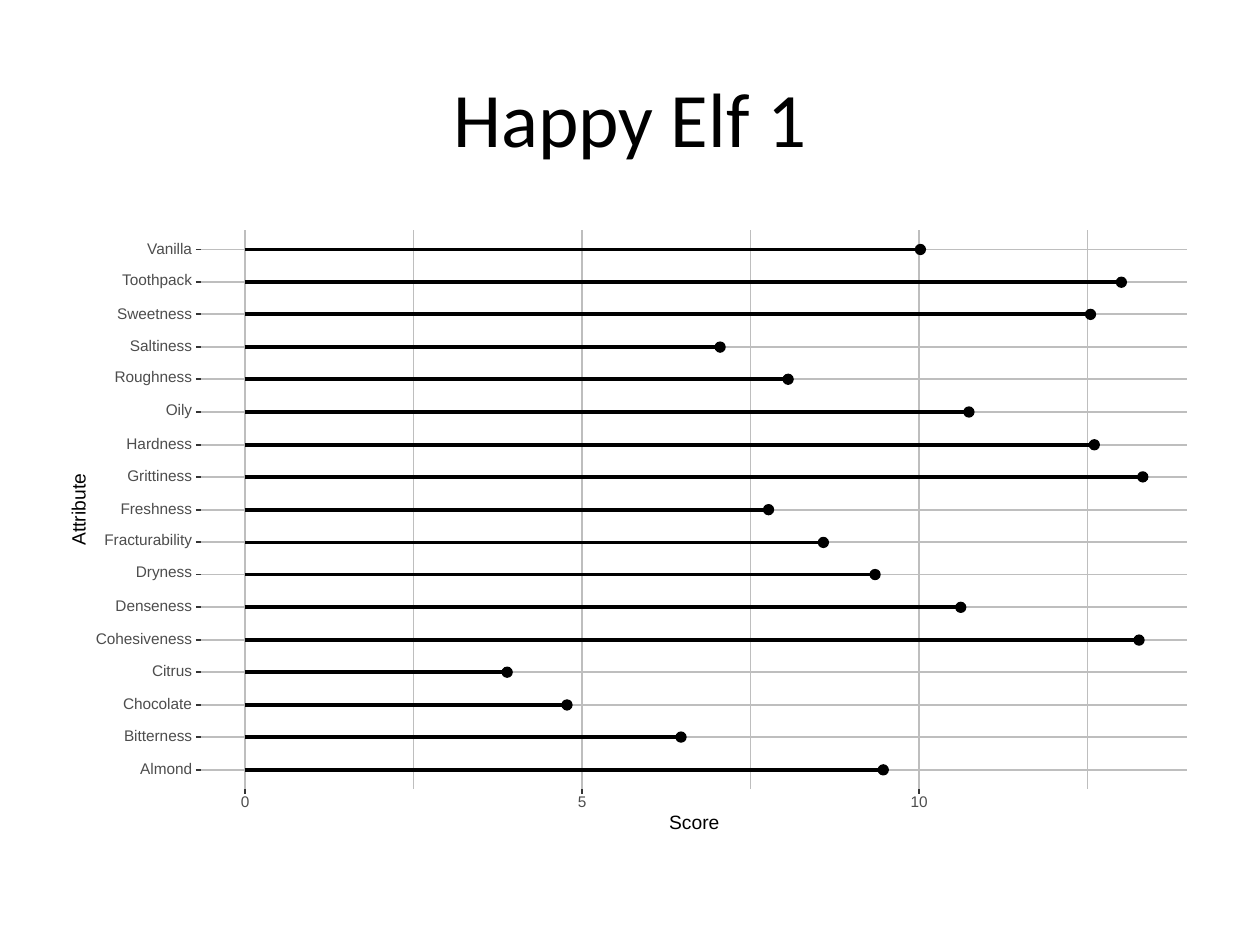
import pptx
import pptx.dml.color
import pptx.enum.shapes
import pptx.enum.text
import pptx.oxml.ns
import pptx.util
from lxml import etree

RGB = pptx.dml.color.RGBColor
SHAPE = pptx.enum.shapes.MSO_SHAPE
ALIGN = pptx.enum.text.PP_ALIGN
WHITE = RGB(0xFF, 0xFF, 0xFF)
BLACK = RGB(0, 0, 0)
GRID = RGB(0xBE, 0xBE, 0xBE)
TICK = RGB(0x33, 0x33, 0x33)
LABEL = RGB(0x4D, 0x4D, 0x4D)

PX = 4572  # 200 px to the inch
LEFT, RIGHT, TOP, BOTTOM = 319, 1884, 365, 1252  # plot area
TICK_LEN = 8
DOT = 16
LABEL_RIGHT = 305
ORIGIN, UNIT = 389, 107
FIRST_ROW, LAST_ROW = 1222, 396

# Attribute, score, label width; from the bottom row up
SCORES = [
    ("Almond", 9.47, 84),
    ("Bitterness", 6.47, 110),
    ("Chocolate", 4.78, 112),
    ("Citrus", 3.89, 66),
    ("Cohesiveness", 13.26, 156),
    ("Denseness", 10.62, 124),
    ("Dryness", 9.35, 92),
    ("Fracturability", 8.58, 142),
    ("Freshness", 7.77, 116),
    ("Grittiness", 13.32, 106),
    ("Hardness", 12.6, 106),
    ("Oily", 10.74, 44),
    ("Roughness", 8.06, 126),
    ("Saltiness", 7.05, 102),
    ("Sweetness", 12.54, 122),
    ("Toothpack", 13.0, 116),
    ("Vanilla", 10.02, 76),
]


class Canvas:
    font = "Arial"

    def __init__(self, slide):
        self.s = slide

    def shape(self, kind, x, y, w, h, color, weight):
        sp = self.s.shapes.add_shape(kind, x * PX, y * PX, w * PX, h * PX)
        sp.shadow.inherit = False
        sp.fill.solid()
        sp.fill.fore_color.rgb = color
        sp.line.color.rgb = color
        sp.line.width = pptx.util.Pt(weight)

    def line(self, x1, y1, x2, y2, color, weight=1.07):
        c = self.s.shapes.add_connector(
            pptx.enum.shapes.MSO_CONNECTOR.STRAIGHT, x1 * PX, y1 * PX, x2 * PX, y2 * PX)
        c.line.color.rgb = color
        c.line.width = pptx.util.Pt(weight)
        etree.SubElement(c._element.spPr, pptx.oxml.ns.qn("a:effectLst"))

    def text(self, x, y, w, h, words, size, color, align=ALIGN.CENTER, rotation=0):
        """Tight one-line label with exact line spacing."""
        sp = self.s.shapes.add_textbox(x * PX, y * PX, w * PX, h * PX)
        sp.rotation = rotation
        tf = sp.text_frame
        tf.word_wrap = False
        tf.vertical_anchor = pptx.enum.text.MSO_ANCHOR.MIDDLE
        tf.margin_left = tf.margin_right = tf.margin_top = tf.margin_bottom = 0
        p = tf.paragraphs[0]
        p.alignment = align
        p.line_spacing = pptx.util.Pt(size)
        self.run(p, words, size, color, self.font)

    def title(self, x, y, w, h, words):
        tf = self.s.shapes.add_textbox(x * PX, y * PX, w * PX, h * PX).text_frame
        tf.word_wrap = True
        tf.vertical_anchor = pptx.enum.text.MSO_ANCHOR.MIDDLE
        p = tf.paragraphs[0]
        p.alignment = ALIGN.CENTER
        self.run(p, words, 44, BLACK, "Calibri")

    def run(self, p, words, size, color, font):
        r = p.add_run()
        r.text = words
        r.font.size = pptx.util.Pt(size)
        r.font.name = font
        r.font.color.rgb = color


def score_x(value):
    return round(ORIGIN + value * UNIT)


def row_y(index):
    return round(FIRST_ROW + index * (LAST_ROW - FIRST_ROW) / (len(SCORES) - 1))


def draw_grid(canvas):
    for value in (2.5, 7.5, 12.5):
        canvas.line(score_x(value), BOTTOM, score_x(value), TOP, GRID, 0.53)
    for i in range(len(SCORES)):
        canvas.line(LEFT, row_y(i), RIGHT, row_y(i), GRID)
    for value in (0, 5, 10):
        canvas.line(score_x(value), BOTTOM, score_x(value), TOP, GRID)


def draw_scores(canvas):
    for i, (name, score, width) in enumerate(SCORES):
        x, y = score_x(score), row_y(i)
        canvas.shape(SHAPE.OVAL, x - DOT // 2, y - DOT // 2, DOT, DOT, BLACK, 0.71)
        canvas.line(x, y, ORIGIN, y, BLACK, 2.13)
        # Names with descenders have a taller box
        rise, height = (13, 22) if set(name) & set("gpy") else (9, 18)
        canvas.text(LABEL_RIGHT - width, y - rise, width, height, name, 8.8, LABEL, ALIGN.RIGHT)
        canvas.line(LEFT - TICK_LEN, y, LEFT, y, TICK)


def draw_score_axis(canvas):
    for value, width in ((0, 16), (5, 16), (10, 30)):
        x = score_x(value)
        canvas.line(x, BOTTOM + TICK_LEN, x, BOTTOM, TICK)
        canvas.text(x - width // 2, 1266, width, 18, str(value), 8.8, LABEL)


def main():
    prs = pptx.Presentation()
    prs.slide_width, prs.slide_height = 2000 * PX, 1500 * PX
    canvas = Canvas(prs.slides.add_slide(prs.slide_layouts[6]))
    canvas.shape(SHAPE.RECTANGLE, 100, 350, 1800, 990, WHITE, 0.75)
    draw_grid(canvas)
    draw_scores(canvas)
    draw_score_axis(canvas)
    canvas.text(1060, 1296, 84, 22, "Score", 11, BLACK)
    canvas.text(67, 798, 120, 22, "Attribute", 11, BLACK, rotation=270)
    canvas.title(100, 60, 1800, 250, "Happy Elf 1")
    prs.save("out.pptx")


if __name__ == "__main__":
    main()
